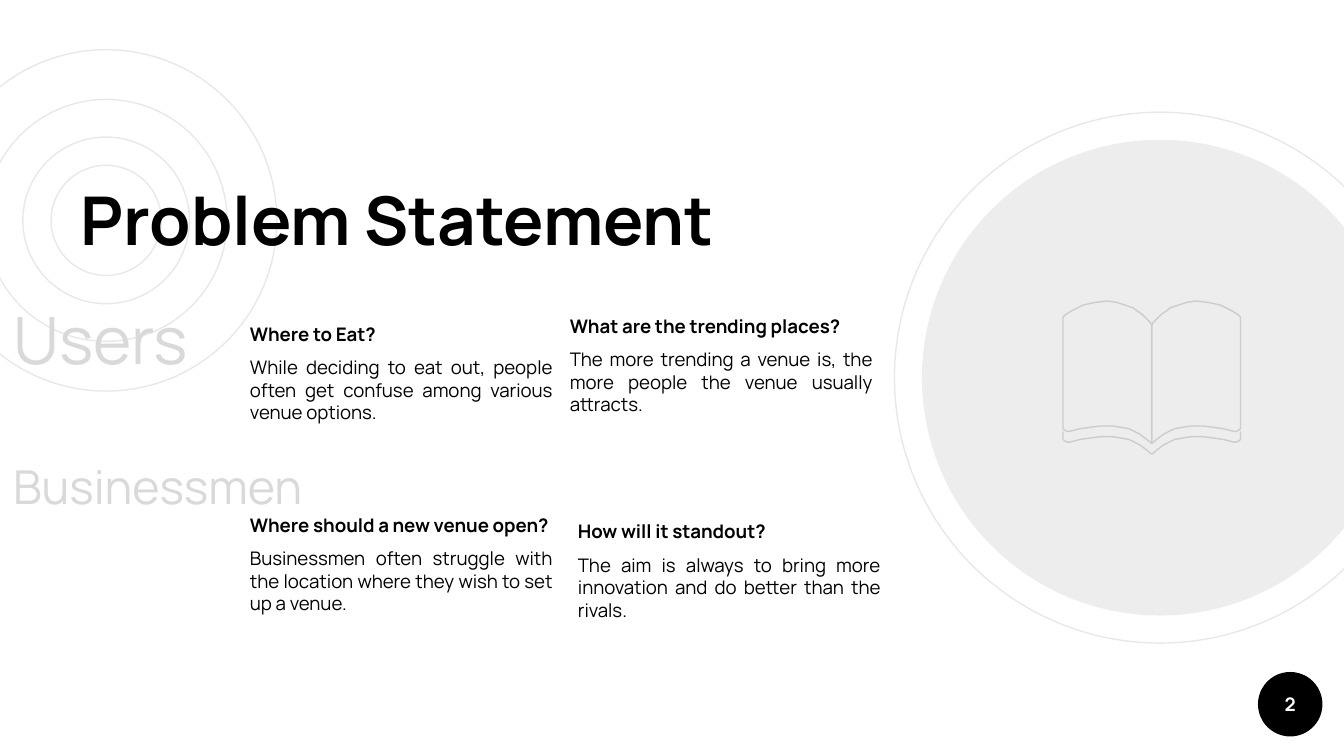
import pptx
import pptx.dml.color
import pptx.enum.shapes
import pptx.enum.text
import pptx.oxml.ns
import pptx.util
from lxml import etree
from pptx.util import Inches

BLACK = pptx.dml.color.RGBColor(0x00, 0x00, 0x00)
WHITE = pptx.dml.color.RGBColor(0xFF, 0xFF, 0xFF)
RING_GRAY = pptx.dml.color.RGBColor(0xE8, 0xE8, 0xE8)
BOOK_GRAY = pptx.dml.color.RGBColor(0xCC, 0xCC, 0xCC)
LABEL_GRAY = pptx.dml.color.RGBColor(0xD9, 0xD9, 0xD9)
FONT = "Manrope"
ALIGN = pptx.enum.text.PP_ALIGN
ANCHOR = pptx.enum.text.MSO_ANCHOR

# Left, top, heading and text of each question
QUESTIONS = [
    (4.14, 2.24, "What are the trending places?",
     "The more trending a venue is, the more people the venue usually attracts."),
    (1.76, 2.30, "Where to Eat?",
     "While deciding to eat out, people often get confuse among various venue options."),
    (1.76, 3.72, "Where should a new venue open?",
     "Businessmen often struggle with the location where they wish to set up a venue."),
    (4.20, 3.77, "How will it standout?",
     "The aim is always to bring more innovation and do better than the rivals."),
]

# Book outline as (distance from the spine, height on the page)
SPINE = 8.57
PAGE_TOP = [(0, 2.42), (0.01, 2.40), (0.03, 2.38), (0.07, 2.34), (0.10, 2.32),
            (0.14, 2.29), (0.20, 2.27), (0.26, 2.25), (0.33, 2.24), (0.42, 2.25),
            (0.51, 2.27), (0.59, 2.31), (0.64, 2.34), (0.66, 2.36), (0.66, 2.38)]
PAGE_BOTTOM = [(0.66, 3.17), (0.66, 3.19), (0.65, 3.20), (0.63, 3.21), (0.61, 3.21),
               (0.53, 3.19), (0.46, 3.18), (0.38, 3.17), (0.29, 3.17), (0.23, 3.18),
               (0.17, 3.19), (0.13, 3.21), (0.09, 3.23), (0.05, 3.26), (0, 3.30)]
COVER_DROP = 0.08


def style_outline(shape, color):
    shape.shadow.inherit = False
    shape.fill.background()
    shape.line.color.rgb = color
    shape.line.width = pptx.util.Pt(0.75)


def add_circle(shapes, center_x, center_y, diameter):
    return shapes.add_shape(
        pptx.enum.shapes.MSO_SHAPE.OVAL,
        Inches(center_x - diameter / 2), Inches(center_y - diameter / 2),
        Inches(diameter), Inches(diameter))


def add_ring(shapes, center_x, center_y, diameter):
    style_outline(add_circle(shapes, center_x, center_y, diameter), RING_GRAY)


def add_disc(shapes, center_x, center_y, diameter, opacity=100):
    disc = add_circle(shapes, center_x, center_y, diameter)
    disc.shadow.inherit = False
    disc.fill.solid()
    disc.fill.fore_color.rgb = BLACK
    disc.line.fill.background()
    if opacity < 100:
        color = disc._element.spPr.find(".//" + pptx.oxml.ns.qn("a:srgbClr"))
        etree.SubElement(color, pptx.oxml.ns.qn("a:alpha"), val=str(opacity * 1000))
    return disc


def add_book_line(shapes, points, side, closed):
    spots = [(Inches(SPINE + side * x), Inches(y)) for x, y in points]
    builder = shapes.build_freeform(*spots[0])
    builder.add_line_segments(spots[1:], close=closed)
    style_outline(builder.convert_to_shape(), BOOK_GRAY)


def add_book(slide):
    book = slide.shapes.add_group_shape()
    cover = [(0.66, 3.21)] + [(x, y + COVER_DROP) for x, y in PAGE_BOTTOM]
    for side in (-1, 1):
        add_book_line(book.shapes, cover, side, closed=False)
        add_book_line(book.shapes, PAGE_TOP + PAGE_BOTTOM, side, closed=True)


def add_text(para, text, size, color=BLACK, bold=False):
    span = para.add_run()
    span.text = text
    span.font.name = FONT
    span.font.size = pptx.util.Pt(size)
    span.font.bold = bold
    span.font.color.rgb = color


def set_frame(shape, anchor):
    frame = shape.text_frame
    frame.word_wrap = True
    frame.auto_size = pptx.enum.text.MSO_AUTO_SIZE.NONE
    frame.vertical_anchor = anchor
    frame.margin_left = frame.margin_right = Inches(0.1)
    frame.margin_top = frame.margin_bottom = Inches(0.1)
    return frame


def place_on_top(slide, placeholder, left, top, width, height):
    placeholder.left, placeholder.top = Inches(left), Inches(top)
    placeholder.width, placeholder.height = Inches(width), Inches(height)
    slide.shapes._spTree.append(placeholder._element)


def fill_title(slide, title):
    place_on_top(slide, title, 0.5, 1.28, 5.71, 0.75)
    para = set_frame(title, ANCHOR.BOTTOM).paragraphs[0]
    para.alignment = ALIGN.LEFT
    add_text(para, "Problem Statement", 36, bold=True)


def fill_question(slide, body, left, top, heading, text):
    place_on_top(slide, body, left, top, 2.45, 1.14)
    frame = set_frame(body, ANCHOR.TOP)
    lines = [(frame.paragraphs[0], heading, ALIGN.LEFT, True),
             (frame.add_paragraph(), text, ALIGN.JUSTIFY, False)]
    for para, words, alignment, bold in lines:
        para.alignment = alignment
        para.space_before = pptx.util.Pt(6)
        properties = para._p.get_or_add_pPr()
        properties.set("marL", "0")
        properties.set("indent", "0")
        etree.SubElement(properties, pptx.oxml.ns.qn("a:buNone"))
        add_text(para, words, 10, bold=bold)


def add_label(slide, top, width, text, size):
    box = slide.shapes.add_textbox(0, Inches(top), Inches(width), Inches(0.57))
    add_text(set_frame(box, ANCHOR.TOP).paragraphs[0], text, size, LABEL_GRAY)


def add_page_number(slide):
    disc = add_disc(slide.shapes, 9.6, 5.24, 0.48)
    para = set_frame(disc, ANCHOR.MIDDLE).paragraphs[0]
    para.alignment = ALIGN.CENTER
    add_text(para, "2", 10, WHITE, bold=True)


def main():
    deck = pptx.Presentation()
    # Widescreen page, 16:9
    deck.slide_width = Inches(10)
    deck.slide_height = Inches(10 * 9 / 16)
    # The comparison layout has one title and four body placeholders
    page = deck.slides.add_slide(deck.slide_layouts[4])
    title, *bodies = list(page.placeholders)

    # Background circles
    rings = page.shapes.add_group_shape()
    for diameter in (2.54, 1.8, 1.24, 0.82):
        add_ring(rings.shapes, 0.79, 1.64, diameter)
    add_ring(page.shapes, 8.63, 2.81, 3.95)
    add_disc(page.shapes, 8.63, 2.81, 3.54, opacity=7)
    add_page_number(page)
    add_book(page)

    # Title and questions
    fill_title(page, title)
    for body, question in zip(bodies, QUESTIONS):
        fill_question(page, body, *question)

    # Audience labels
    add_label(page, 2.13, 2.36, "Users", 35)
    add_label(page, 3.31, 5.48, "Businessmen", 25)

    deck.save("out.pptx")


if __name__ == "__main__":
    main()
